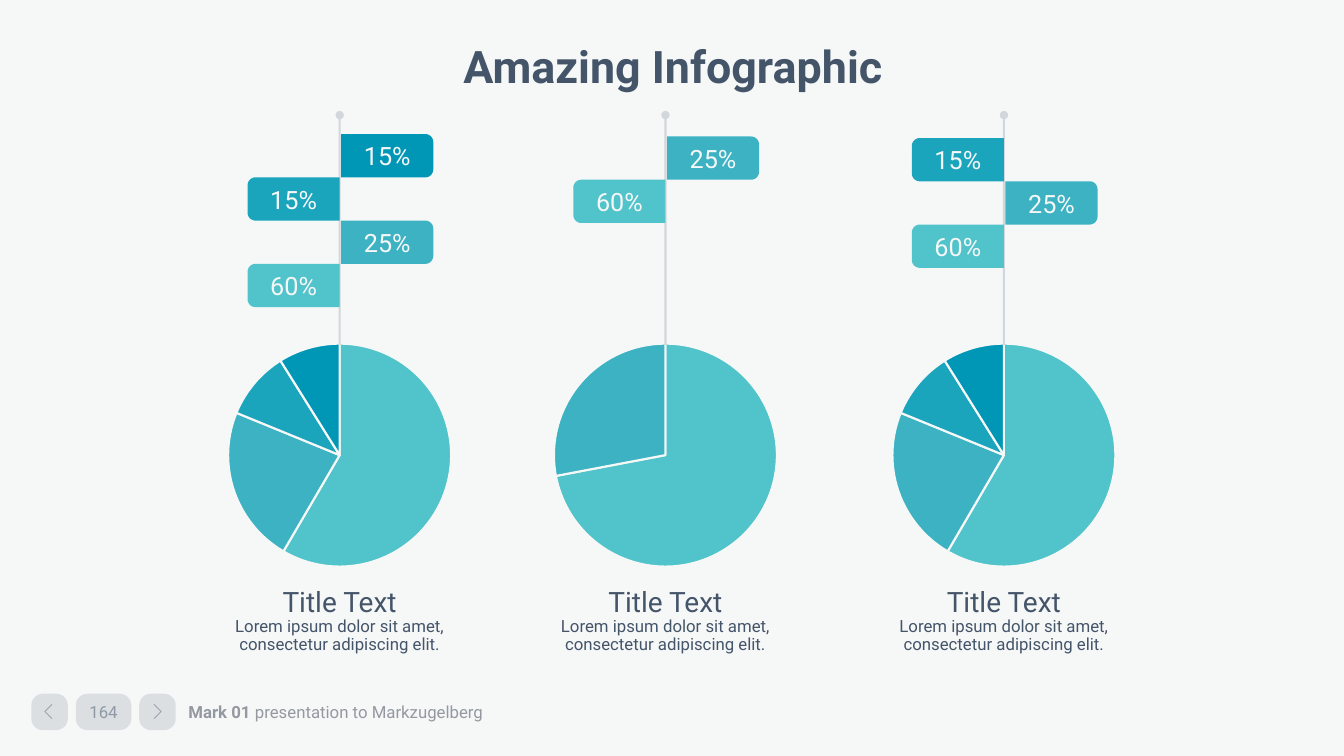
from math import cos, pi, sin

from lxml import etree
from pptx import Presentation
from pptx.chart.data import CategoryChartData
from pptx.dml.color import RGBColor
from pptx.enum.chart import XL_CHART_TYPE
from pptx.enum.shapes import MSO_CONNECTOR, MSO_SHAPE
from pptx.enum.text import MSO_ANCHOR, PP_ALIGN
from pptx.oxml.ns import qn
from pptx.util import Cm, Pt

PIE = XL_CHART_TYPE.PIE
LINE = MSO_CONNECTOR.STRAIGHT
ROUND = MSO_SHAPE.ROUNDED_RECTANGLE
MIDDLE, TOP = MSO_ANCHOR.MIDDLE, MSO_ANCHOR.TOP
CENTER, LEFT = PP_ALIGN.CENTER, PP_ALIGN.LEFT

PAPER = RGBColor(0xF6, 0xF8, 0xF8)
SLATE = RGBColor(0x44, 0x54, 0x69)
GRAY = RGBColor(0x94, 0x99, 0xA1)
AQUA = RGBColor(0x51, 0xC3, 0xCA)
TEAL = RGBColor(0x3C, 0xB2, 0xC3)
CYAN = RGBColor(0x1A, 0xA5, 0xBD)
BLUE = RGBColor(0x00, 0x97, 0xB7)
TINTS = [AQUA, TEAL, CYAN, BLUE]

FLAG_W, FLAG_H, CURVE = 2.32, 1.09, 0.2
PIE_W, PIE_H, DISC = 9.58, 6.38, 5.62


class Deck:
    font = "Roboto"

    def __init__(self, slide):
        self.slide = slide
        self.shapes = slide.shapes
        fill = slide.background.fill
        fill.solid()
        fill.fore_color.rgb = PAPER

    def fade(self, node, share):
        for color in node.iter(qn("a:srgbClr")):
            etree.SubElement(color, qn("a:alpha")).set("val", str(share * 1000))

    def style(self, para, size, color, align=CENTER, bold=None):
        para.alignment = align
        font = para.font
        font.name, font.size, font.bold = self.font, Pt(size), bold
        font.color.rgb = color

    def paint(self, shape, color):
        shape.shadow.inherit = False
        shape.fill.solid()
        shape.fill.fore_color.rgb = color
        shape.line.fill.background()

    def text(self, x, y, w, h, anchor=TOP):
        box = self.shapes.add_textbox(Cm(x), Cm(y), Cm(w), Cm(h))
        frame = box.text_frame
        frame.word_wrap = True
        frame.vertical_anchor = anchor
        return frame

    def title(self, words):
        para = self.text(2.36, 1.02, 29.21, 1.42, MIDDLE).paragraphs[0]
        para.text = words
        para.line_spacing = 0.9
        self.style(para, 32, SLATE, bold=True)

    def label(self, mid, head, body):
        frame = self.text(mid - 3.23, 14.6, 6.46, 2.03)
        first, second = frame.paragraphs[0], frame.add_paragraph()
        first.text, second.text = head, body
        second.line_spacing = 0.9
        self.style(first, 20, SLATE)
        self.style(second, 12, SLATE)

    def pie(self, mid, values):
        data = CategoryChartData()
        data.categories = [str(i + 1) for i in range(len(values))]
        data.add_series("Series 1", values)
        frame = self.shapes.add_chart(
            PIE, Cm(mid - PIE_W / 2), Cm(8.28), Cm(PIE_W), Cm(PIE_H), data)
        chart = frame.chart
        chart.has_title = chart.has_legend = False
        chart.font.name, chart.font.size = "Calibri", Pt(10)
        chart.font.color.rgb = SLATE
        plot = chart.plots[0]
        plot.vary_by_categories = True
        for i, tint in enumerate(TINTS[:len(values)]):
            part = plot.series[0].points[i].format
            part.fill.solid()
            part.fill.fore_color.rgb = tint
            part.line.color.rgb = PAPER
            part.line.width = Pt(1.5)
        self.place(chart)

    def place(self, chart):
        area = next(chart.element.iter(qn("c:plotArea")))
        for old in area.findall(qn("c:layout")):
            area.remove(old)
        layout = etree.Element(qn("c:layout"))
        area.insert(0, layout)
        manual = etree.SubElement(layout, qn("c:manualLayout"))
        w, h = DISC / PIE_W, DISC / PIE_H
        for tag, val in [("layoutTarget", "inner"), ("xMode", "edge"), ("yMode", "edge"),
                         ("x", (1 - w) / 2), ("y", (1 - h) / 2), ("w", w), ("h", h)]:
            etree.SubElement(manual, qn("c:" + tag)).set("val", str(val))

    def pole(self, mid):
        pole = self.shapes.add_connector(LINE, Cm(mid), Cm(8.69), Cm(mid), Cm(2.9))
        pole.line.color.rgb = SLATE
        pole.line.width = Pt(1.5)
        props = pole.element.spPr
        self.fade(props, 20)
        etree.SubElement(props.find(qn("a:ln")), qn("a:tailEnd")).set("type", "oval")
        etree.SubElement(props, qn("a:effectLst"))

    def trace(self, points, close):
        dots = [(Cm(x), Cm(y)) for x, y in points]
        form = self.shapes.build_freeform(*dots[0])
        form.add_line_segments(dots[1:], close=close)
        return form.convert_to_shape()

    def flag(self, mid, top, side, words, color):
        root = mid + 0.04 if side > 0 else mid
        turns = [i * pi / 16 for i in range(9)]
        inner = FLAG_W - CURVE
        arc = [(inner + CURVE * sin(t), CURVE - CURVE * cos(t)) for t in turns]
        edge = [(0, 0)] + arc + [(x, FLAG_H - y) for x, y in reversed(arc)] + [(0, FLAG_H)]
        flag = self.trace([(root + side * x, top + y) for x, y in edge], True)
        self.paint(flag, color)
        flag.text_frame.vertical_anchor = MIDDLE
        para = flag.text_frame.paragraphs[0]
        para.text = words
        self.style(para, 18, PAPER)

    def button(self, x, w, words=""):
        key = self.shapes.add_shape(ROUND, Cm(x), Cm(17.48), Cm(w), Cm(0.92))
        key.adjustments[0] = 0.32
        self.paint(key, SLATE)
        self.fade(key.element.spPr, 15)
        if words:
            frame = key.text_frame
            frame.margin_left = frame.margin_right = 0
            frame.vertical_anchor = MIDDLE
            para = frame.paragraphs[0]
            para.text = words
            self.style(para, 12, SLATE)
            self.fade(frame._txBody, 50)

    def arrow(self, tip, side):
        back = tip - side * 0.18
        mark = self.trace([(back, 17.75), (tip, 17.93), (back, 18.11)], False)
        mark.shadow.inherit = False
        mark.fill.background()
        mark.line.color.rgb = SLATE
        mark.line.width = Pt(0.5)
        self.fade(mark.element.spPr, 50)

    def footer(self, name, rest):
        frame = self.text(4.42, 17.5, 9.32, 0.86, MIDDLE)
        frame.margin_left = frame.margin_right = Cm(0.33)
        para = frame.paragraphs[0]
        for words, bold in [(name, True), (rest, False)]:
            run = para.add_run()
            run.text, run.font.bold = words, bold
        self.style(para, 12, GRAY, LEFT)


def main():
    prs = Presentation()
    prs.slide_width, prs.slide_height = Cm(33.87), Cm(19.05)
    deck = Deck(prs.slides.add_slide(prs.slide_layouts[6]))
    deck.button(0.79, 0.92)
    deck.button(1.91, 1.4, "164")
    deck.button(3.51, 0.92)
    deck.arrow(1.13, -1)
    deck.arrow(4.06, 1)
    deck.footer("Mark 01 ", "presentation to Markzugelberg")
    sixty, quarter, small = ("60%", AQUA), ("25%", TEAL), ("15%", CYAN)
    full = [59, 23, 10, 9]
    groups = [
        (8.56, 3.38, 1, full, [("15%", BLUE), small, quarter, sixty]),
        (16.77, 3.44, 1, [72, 28], [quarter, sixty]),
        (25.3, 3.48, -1, full, [small, quarter, sixty]),
    ]
    for mid, top, side, values, flags in groups:
        deck.pie(mid, values)
        deck.pole(mid)
        for i, (words, color) in enumerate(flags):
            deck.flag(mid, top + i * FLAG_H, side * (-1) ** i, words, color)
        deck.label(mid, "Title Text",
                   "Lorem ipsum dolor sit amet, consectetur adipiscing elit.")
    deck.title("Amazing Infographic")
    prs.save("out.pptx")


if __name__ == "__main__":
    main()
